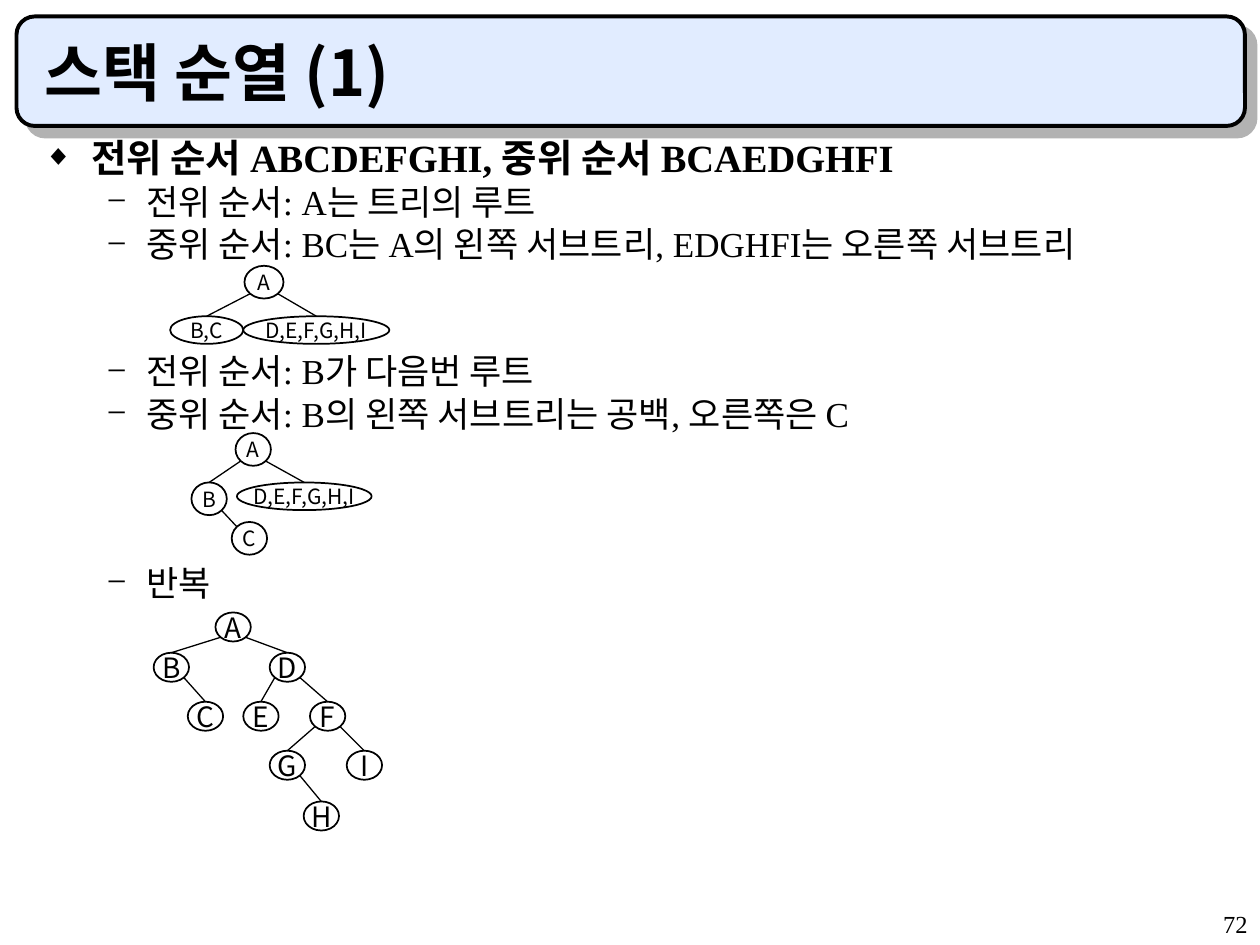
import math

from lxml import etree
from pptx import Presentation
from pptx.dml import color
from pptx.enum import shapes, text
from pptx.oxml import ns
from pptx.util import Pt

SANS = "Noto Sans CJK KR"
SERIF = "Times New Roman"
BLACK = "000000"

BODY = [
    ("전위 순서 ABCDEFGHI, 중위 순서 BCAEDGHFI", 0),
    ("전위 순서: A는 트리의 루트", 5),
    ("중위 순서: BC는 A의 왼쪽 서브트리, EDGHFI는 오른쪽 서브트리", 5),
    ("전위 순서: B가 다음번 루트", 53.4),
    ("중위 순서: B의 왼쪽 서브트리는 공백, 오른쪽은 C", 5),
    ("반복", 77.5),
]


def rgb(value):
    """Turn a hex string into a colour."""
    return color.RGBColor.from_string(value)


def add_element(parent, tag, **attributes):
    """Append a DrawingML element and return it."""
    return etree.SubElement(parent, ns.qn(tag), attributes)


def write(paragraph, wording, size, font=SANS, bold=False, align=text.PP_ALIGN.LEFT, hex_color=BLACK):
    """Write one formatted run into a paragraph."""
    paragraph.alignment = align
    run = paragraph.add_run()
    run.text = wording
    run.font.size, run.font.bold, run.font.name = Pt(size), bold, font
    run.font.color.rgb = rgb(hex_color)
    add_element(run._r.get_or_add_rPr(), "a:ea", typeface=SANS)


def add_bullet(paragraph, character, left, hanging, size=100):
    """Give a paragraph a black bullet with a hanging indent."""
    properties = paragraph._p.get_or_add_pPr()
    properties.set("marL", str(Pt(left)))
    properties.set("indent", str(Pt(-hanging)))
    bullet_color = add_element(properties, "a:buClr")
    add_element(bullet_color, "a:srgbClr", val=BLACK)
    add_element(properties, "a:buSzPct", val=str(size * 1000))
    add_element(properties, "a:buFont", typeface=SERIF)
    add_element(properties, "a:buChar", char=character)


def add_text_frame(slide, left, top, width, height):
    """Add a wrapping text box and return its text frame."""
    frame = slide.shapes.add_textbox(Pt(left), Pt(top), Pt(width), Pt(height)).text_frame
    frame.word_wrap = True
    return frame


def add_title_bar(slide, left, top, width, height):
    """Place the shadowed bar with the title on it."""
    bar = slide.shapes.add_shape(
        shapes.MSO_SHAPE.ROUNDED_RECTANGLE, Pt(left), Pt(top), Pt(width), Pt(height))
    bar.fill.solid()
    bar.fill.fore_color.rgb = rgb("E1ECFF")
    bar.line.color.rgb = rgb(BLACK)
    bar.line.width = Pt(2.25)
    bar.shadow.inherit = False
    effects = bar.element.spPr.find(ns.qn("a:effectLst"))
    shadow = add_element(effects, "a:outerShdw", dist=str(Pt(8.5)), dir="2700000", rotWithShape="0")
    add_element(shadow, "a:srgbClr", val="B2B2B2")

    title = slide.shapes.title
    title.left, title.top = Pt(left + 8.6), Pt(top + 8.6)
    title.width, title.height = Pt(width - 23.8), Pt(height - 14.4)
    title.text_frame.vertical_anchor = text.MSO_ANCHOR.BOTTOM
    write(title.text_frame.paragraphs[0], "스택 순열 (1)", size=36, bold=True)
    title.element.addprevious(bar.element)


def add_body(slide, left, top, width, height):
    """Place the bulleted explanation, with gaps for the trees."""
    frame = add_text_frame(slide, left, top, width, height)
    for index, (wording, gap) in enumerate(BODY):
        heading = index == 0
        paragraph = frame.paragraphs[0] if heading else frame.add_paragraph()
        paragraph.line_spacing = 0.8
        paragraph.space_before = Pt(gap)
        if heading:
            add_bullet(paragraph, "◆", left=27, hanging=27, size=75)
        else:
            paragraph.level = 1
            add_bullet(paragraph, "−", left=58.5, hanging=22.5)
        write(paragraph, wording, size=22 if heading else 20, font=SERIF, bold=heading)


def add_node(group, label, box, size, fill):
    """Add a labelled oval to a tree."""
    node = group.shapes.add_shape(shapes.MSO_SHAPE.OVAL, *map(Pt, box))
    node.shadow.inherit = False
    if fill:
        node.fill.solid()
        node.fill.fore_color.rgb = rgb(fill)
    else:
        node.fill.background()
    node.line.color.rgb = rgb(BLACK)
    node.line.width = Pt(1)
    node.text_frame.word_wrap = False
    node.text_frame.vertical_anchor = text.MSO_ANCHOR.MIDDLE
    write(node.text_frame.paragraphs[0], label, size=size, align=text.PP_ALIGN.CENTER)


def oval_point(box, degrees):
    """Return the point of an oval at an angle, clockwise from the right."""
    left, top, width, height = box
    angle = math.radians(degrees)
    return left + width / 2 * (1 + math.cos(angle)), top + height / 2 * (1 + math.sin(angle))


def add_edge(group, parent, child, child_angle):
    """Join the lower side of a parent oval to a child oval."""
    goes_left = child[0] + child[2] / 2 < parent[0] + parent[2] / 2
    start = oval_point(parent, 135 if goes_left else 45)
    end = oval_point(child, child_angle)
    edge = group.shapes.add_connector(shapes.MSO_CONNECTOR.STRAIGHT, *map(Pt, start + end))
    edge.line.color.rgb = rgb(BLACK)
    edge.line.width = Pt(0.75)
    add_element(edge.element.spPr, "a:effectLst")


def add_tree(slide, left, top, nodes, edges, node_size, text_size=12, fill=None, angles={}):
    """Place a tree of nodes given as label: (x, y[, width, height])."""
    group = slide.shapes.add_group_shape()
    boxes = {label: (left + x, top + y, *(own_size or node_size))
             for label, (x, y, *own_size) in nodes.items()}
    for label, box in boxes.items():
        add_node(group, label, box, text_size, fill)
    for parent, child in edges:
        add_edge(group, boxes[parent], boxes[child], angles.get(child, 270))


def add_page_number(slide, left, top, width, height):
    """Place the page number at the lower right."""
    frame = add_text_frame(slide, left, top, width, height)
    write(frame.paragraphs[0], "72", size=14, font=SERIF, align=text.PP_ALIGN.RIGHT)


def main():
    """Build the slide and save it."""
    presentation = Presentation()
    presentation.slide_width, presentation.slide_height = Pt(720), Pt(540)
    slide = presentation.slides.add_slide(presentation.slide_layouts[5])
    add_title_bar(slide, 9.4, 9.4, 702, 62.6)
    add_body(slide, 18, 78, 678, 300)
    rest = "D,E,F,G,H,I"
    add_tree(slide, 97.2, 151.9,
             {"A": (42.5, 0), "B,C": (0, 28.8, 41.8, 15.8), rest: (41.8, 28.8, 83.5, 15.8)},
             [("A", "B,C"), ("A", rest)], node_size=(22.3, 18.7))
    add_tree(slide, 109.4, 247.5,
             {"A": (25.2, 0), rest: (26, 28.2, 77, 15.8), "B": (0, 28.2), "C": (23, 50.8)},
             ["AB", ("A", rest), "BC"], node_size=(20.2, 18.7), angles={"C": 225})
    add_tree(slide, 87.8, 350,
             {"A": (35.3, 0), "B": (0, 23), "C": (19.5, 51), "D": (66.3, 23), "E": (51.2, 51),
              "F": (89.3, 51), "G": (66.3, 79), "I": (110.3, 79), "H": (85.7, 108)},
             ["AB", "AD", "BC", "DE", "DF", "FG", "FI", "GH"],
             node_size=(20.2, 16.6), text_size=16, fill="FFFFFF")
    add_page_number(slide, 570, 516, 150, 24)
    presentation.save("out.pptx")


if __name__ == "__main__":
    main()
